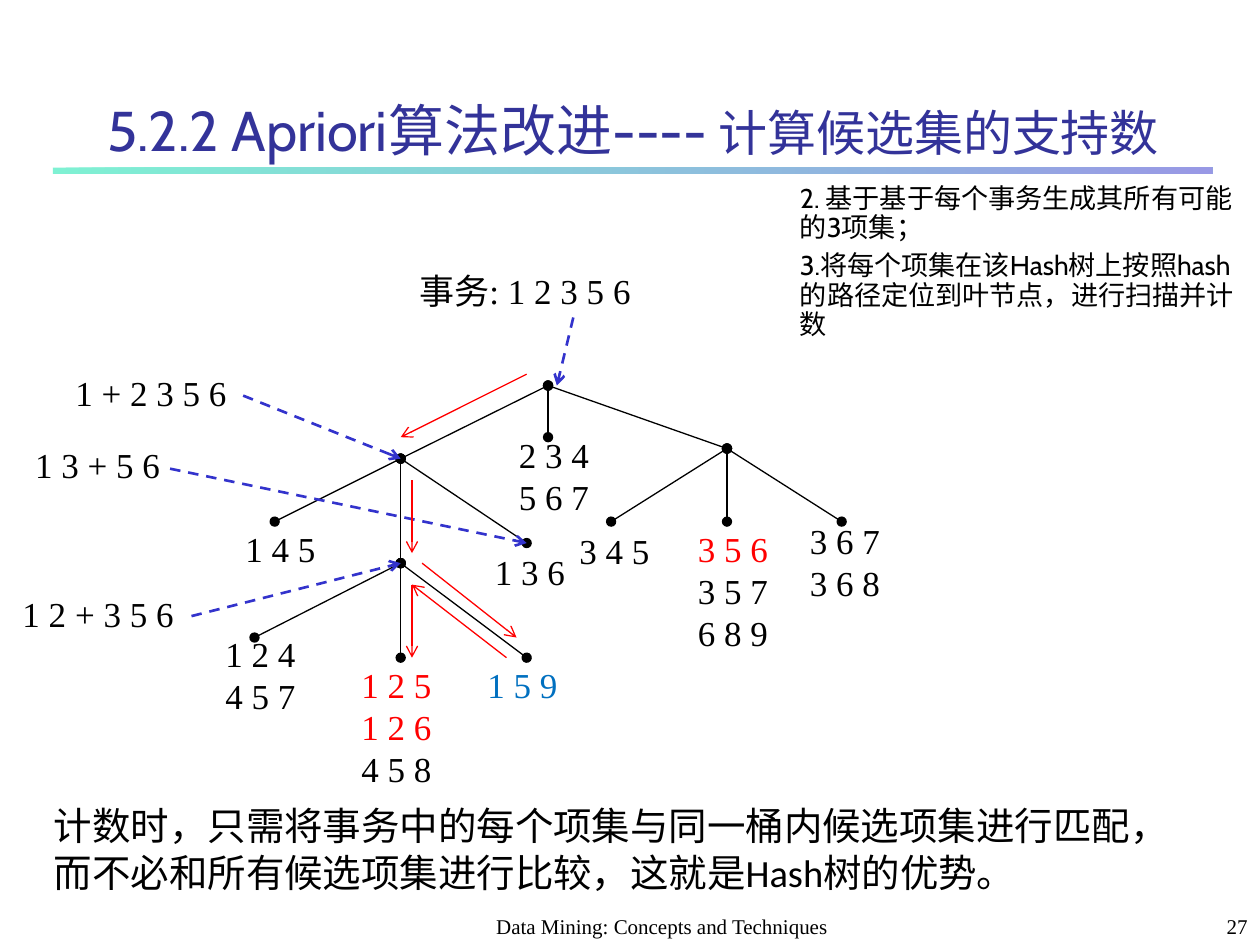
from dataclasses import dataclass

from lxml.etree import SubElement
from pptx import Presentation
from pptx.dml.color import RGBColor
from pptx.enum.dml import MSO_LINE
from pptx.enum.shapes import MSO_CONNECTOR, MSO_SHAPE
from pptx.enum.text import MSO_ANCHOR, MSO_AUTO_SIZE, PP_ALIGN
from pptx.oxml.ns import qn
from pptx.util import Inches, Pt


@dataclass(frozen=True)
class Theme:
    black: str = "000000"
    red: str = "FF0000"
    blue: str = "0070C0"
    title: str = "333399"
    dash: str = "3333CC"
    bar_start: str = "00E4A8"
    bar_end: str = "3333CC"
    serif: str = "Times New Roman"
    sans: str = "Cabin"
    latin: str = "Calibri"
    chinese: str = "Noto Sans CJK SC"
    title_size: float = 32
    subtitle_size: float = 28
    summary_size: float = 22
    label_size: float = 20
    step_size: float = 15.5
    footer_size: float = 12


theme = Theme()


def add_span(para, text, font, size, color):
    span = para.add_run()
    span.text = text
    span.font.name = font
    span.font.size = Pt(size)
    span.font.bold = False
    span.font.color.rgb = RGBColor.from_string(color)
    east_asian = SubElement(span.font._element, qn("a:ea"))
    east_asian.set("typeface", theme.chinese)


def add_line(shapes, start, end, color, width, head=None, tail=None):
    points = [Inches(value) for value in (*start, *end)]
    line = shapes.add_connector(MSO_CONNECTOR.STRAIGHT, *points)
    line.line.color.rgb = RGBColor.from_string(color)
    line.line.width = Pt(width)
    outline = line.line._get_or_add_ln()
    for tag, kind in (("a:headEnd", head), ("a:tailEnd", tail)):
        if kind:
            SubElement(outline, qn(tag)).set("type", kind)
    SubElement(line._element.spPr, qn("a:effectLst"))
    return line


deck = Presentation()
deck.slide_width = Inches(10)
deck.slide_height = Inches(7.5)
page = deck.slides.add_slide(deck.slide_layouts[5])

bar = page.shapes.add_shape(
    MSO_SHAPE.RECTANGLE, Inches(0.42), Inches(1.33), Inches(9.2), Inches(0.05)
)
bar.shadow.inherit = False
bar.line.fill.background()
bar.fill.gradient()
bar.fill.gradient_angle = 0
for stop, color in zip(bar.fill.gradient_stops, (theme.bar_start, theme.bar_end)):
    stop.color.rgb = RGBColor.from_string(color)
for color_element in bar._element.spPr.iter(qn("a:srgbClr")):
    SubElement(color_element, qn("a:alpha")).set("val", "50000")

title = page.shapes.title
title.left, title.top = Inches(0.75), Inches(0.5)
title.width, title.height = Inches(8.92), Inches(0.84)
title.text_frame.word_wrap = True
title.text_frame.auto_size = MSO_AUTO_SIZE.NONE
title.text_frame.vertical_anchor = MSO_ANCHOR.BOTTOM
para = title.text_frame.paragraphs[0]
para.alignment = PP_ALIGN.LEFT
add_span(para, "5.2.2 Apriori算法改进----", theme.sans, theme.title_size, theme.title)
add_span(para, " 计算候选集的支持数", theme.sans, theme.subtitle_size, theme.title)

root = (4.35, 3.06)
left_node = (3.18, 3.64)
right_node = (5.77, 3.56)
lower_node = (3.18, 4.47)
leaf_136 = (4.18, 4.31)
branches = {
    root: [left_node, right_node, (4.35, 3.47)],
    left_node: [(2.18, 4.14), lower_node, leaf_136],
    lower_node: [(2.02, 5.06), (3.18, 5.22), (4.18, 5.22)],
    right_node: [(4.85, 4.14), (5.77, 4.14), (6.68, 4.14)],
}
tree = page.shapes.add_group_shape()
for parent, children in branches.items():
    for child in children:
        add_line(tree.shapes, parent, child, theme.black, 0.75, "oval", "oval")

leaves = [
    (4.02, 3.39, [("2 3 4", theme.black), ("5 6 7", theme.black)]),
    (1.85, 4.14, [("1 4 5", theme.black)]),
    (3.83, 4.32, [("1 3 6", theme.black)]),
    (1.69, 4.97, [("1 2 4", theme.black), ("4 5 7", theme.black)]),
    (2.77, 5.22, [("1 2 5", theme.red), ("1 2 6", theme.red), ("4 5 8", theme.black)]),
    (3.77, 5.22, [("1 5 9", theme.blue)]),
    (4.5, 4.15, [("3 4 5", theme.black)]),
    (5.44, 4.14, [("3 5 6", theme.red), ("3 5 7", theme.black), ("6 8 9", theme.black)]),
    (6.33, 4.07, [("3 6 7", theme.black), ("3 6 8", theme.black)]),
]
transactions = [
    (3.23, 2.09, 1.97, "事务: 1 2 3 5 6"),
    (0.5, 2.9, 1.41, "1 + 2 3 5 6"),
    (0.08, 4.65, 1.41, "1 2 + 3 5 6"),
    (0.18, 3.47, 1.2, "1 3 + 5 6"),
]
labels = [(tree.shapes, left, top, 0.77, rows) for left, top, rows in leaves]
labels += [
    (page.shapes, left, top, width, [(text, theme.black)])
    for left, top, width, text in transactions
]
for shapes, left, top, width, rows in labels:
    height = 0.11 + 0.33 * len(rows)
    box = shapes.add_textbox(Inches(left), Inches(top), Inches(width), Inches(height))
    frame = box.text_frame
    frame.word_wrap = False
    frame.auto_size = MSO_AUTO_SIZE.SHAPE_TO_FIT_TEXT
    for index, (text, color) in enumerate(rows):
        para = frame.add_paragraph() if index else frame.paragraphs[0]
        add_span(para, text, theme.serif, theme.label_size, color)

pointers = [
    ((4.55, 2.52), (4.42, 3.06)),
    ((1.93, 3.14), left_node),
    ((1.52, 4.89), lower_node),
    ((1.35, 3.72), leaf_136),
]
for start, end in pointers:
    pointer = add_line(page.shapes, start, end, theme.dash, 1.5, tail="arrow")
    pointer.line.dash_style = MSO_LINE.DASH

visits = [
    ((4.18, 2.97), (3.18, 3.47)),
    ((3.35, 4.47), (4.1, 5.06)),
    ((4.02, 5.22), (3.27, 4.64)),
    ((3.27, 3.81), (3.27, 4.39)),
    ((3.27, 4.64), (3.27, 5.22)),
]
for start, end in visits:
    add_line(page.shapes, start, end, theme.red, 0.75, tail="arrow")

footers = [
    (3.67, 3.17, "Data Mining: Concepts and Techniques", PP_ALIGN.CENTER),
    (7.92, 2.08, "27", PP_ALIGN.RIGHT),
]
for left, width, text, alignment in footers:
    box = page.shapes.add_textbox(Inches(left), Inches(7.08), Inches(width), Inches(0.42))
    box.text_frame.word_wrap = True
    box.text_frame.vertical_anchor = MSO_ANCHOR.BOTTOM
    para = box.text_frame.paragraphs[0]
    para.alignment = alignment
    add_span(para, text, theme.serif, theme.footer_size, theme.black)

summary = page.shapes.add_textbox(Inches(0.33), Inches(6.32), Inches(9.33), Inches(0.84))
summary.text_frame.word_wrap = True
summary.text_frame.auto_size = MSO_AUTO_SIZE.SHAPE_TO_FIT_TEXT
para = summary.text_frame.paragraphs[0]
for text, font in [
    ("计数时，只需将事务中的每个项集与同一桶内候选项集进行匹配，而不必和所有候选项集进行比较，这就是", theme.chinese),
    ("Hash", theme.latin),
    ("树的优势。", theme.chinese),
]:
    add_span(para, text, font, theme.summary_size, theme.black)

steps = page.shapes.add_textbox(Inches(6.25), Inches(1.42), Inches(3.75), Inches(1.38))
steps.text_frame.word_wrap = True
for index, text in enumerate([
    "2. 基于基于每个事务生成其所有可能的3项集；",
    "3.将每个项集在该Hash树上按照hash的路径定位到叶节点，进行扫描并计数",
]):
    para = steps.text_frame.add_paragraph() if index else steps.text_frame.paragraphs[0]
    para.line_spacing = 0.9
    para.space_before = Pt(5 if index else 0)
    add_span(para, text, theme.sans, theme.step_size, theme.black)

deck.save("out.pptx")
